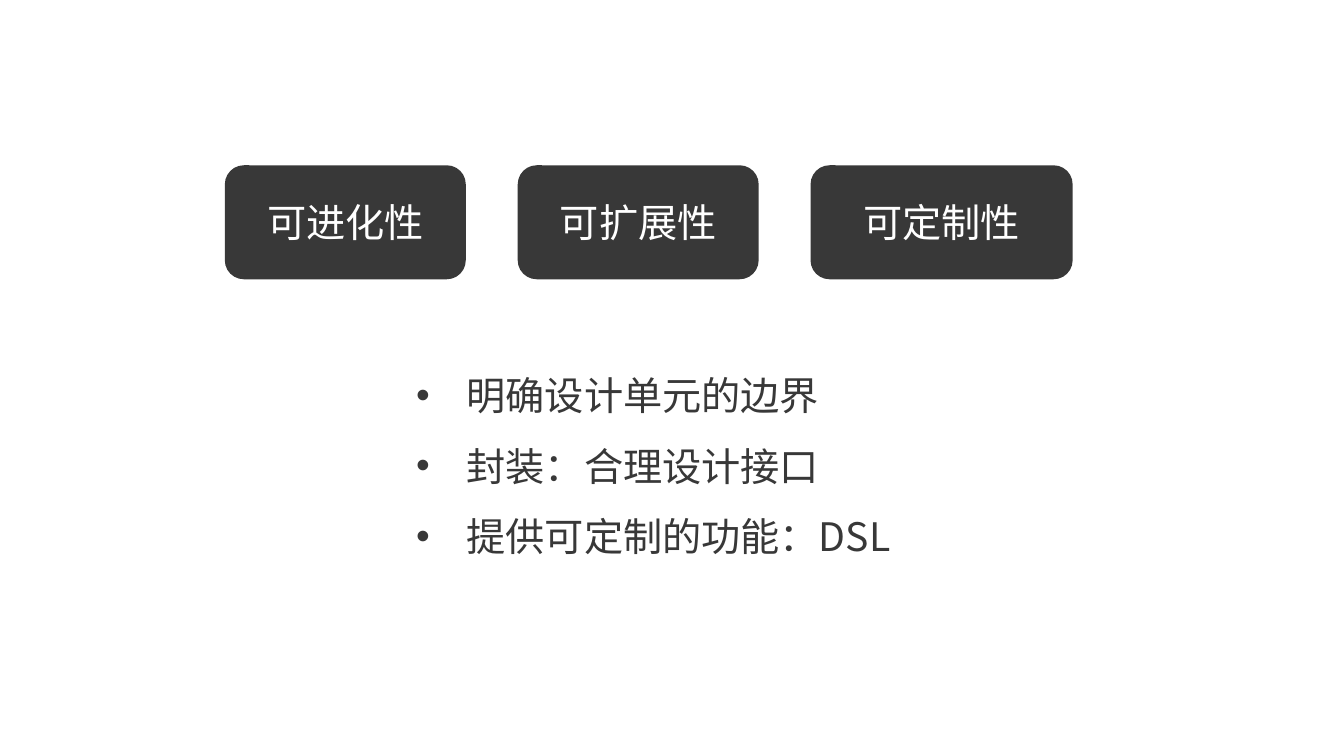
"""Build a slide with three design qualities above a bulleted list of practices."""
from dataclasses import dataclass

from lxml import etree
from pptx import Presentation
from pptx import util as u
from pptx.dml.color import RGBColor
from pptx.enum import shapes, text
from pptx.oxml import ns

COLORS = {"dark": "383838", "light": "FFFFFF"}
FONT = "Noto Sans CJK SC"
CARD_LEFT, CARD_TOP, CARD_HEIGHT, CARD_GAP = 160.6, 118.1, 81.4, 37.1


@dataclass
class Card:
    label: str
    width: float


CARDS = [Card("可进化性", 172.1), Card("可扩展性", 172.1), Card("可定制性", 187.2)]
PRACTICES = ["明确设计单元的边界", "封装：合理设计接口", "提供可定制的功能：DSL"]


def style_paragraph(para, color: str, alignment) -> None:
    para.alignment = alignment
    para.font.size = u.Pt(28)
    para.font.name = FONT
    para.font.color.rgb = RGBColor.from_string(COLORS[color])
    defaults = para._p.get_or_add_pPr().find(ns.qn("a:defRPr"))
    etree.SubElement(defaults, ns.qn("a:ea"), typeface=FONT)


def add_bullet(para) -> None:
    properties = para._p.get_or_add_pPr()
    properties.set("marL", str(u.Pt(36)))
    properties.set("indent", str(-u.Pt(36)))
    etree.SubElement(properties, ns.qn("a:buFont"), typeface="Arial")
    etree.SubElement(properties, ns.qn("a:buChar"), char="•")


def draw_card(page, card: Card, left: float) -> None:
    box = page.shapes.add_shape(
        shapes.MSO_SHAPE.ROUNDED_RECTANGLE,
        u.Pt(left), u.Pt(CARD_TOP), u.Pt(card.width), u.Pt(CARD_HEIGHT))
    box.shadow.inherit = False
    box.fill.solid()
    box.fill.fore_color.rgb = RGBColor.from_string(COLORS["dark"])
    box.line.fill.background()
    box.text_frame.vertical_anchor = text.MSO_ANCHOR.MIDDLE
    para = box.text_frame.paragraphs[0]
    para.text = card.label
    style_paragraph(para, "light", text.PP_ALIGN.CENTER)


def draw_practices(page, practices: list[str]) -> None:
    box = page.shapes.add_textbox(u.Pt(290.2), u.Pt(244.8), u.Pt(367.2), u.Pt(159.8))
    frame = box.text_frame
    frame.word_wrap = True
    frame.auto_size = text.MSO_AUTO_SIZE.SHAPE_TO_FIT_TEXT
    frame.text = "\n".join(practices)
    for para in frame.paragraphs:
        add_bullet(para)
        para.line_spacing = 1.5
        style_paragraph(para, "dark", text.PP_ALIGN.JUSTIFY)


def main() -> None:
    deck = Presentation()
    deck.slide_width, deck.slide_height = u.Pt(960), u.Pt(540)
    page = deck.slides.add_slide(deck.slide_layouts[6])
    draw_practices(page, PRACTICES)
    left = CARD_LEFT
    for card in CARDS:
        draw_card(page, card, left)
        left += card.width + CARD_GAP
    deck.save("out.pptx")


if __name__ == "__main__":
    main()
